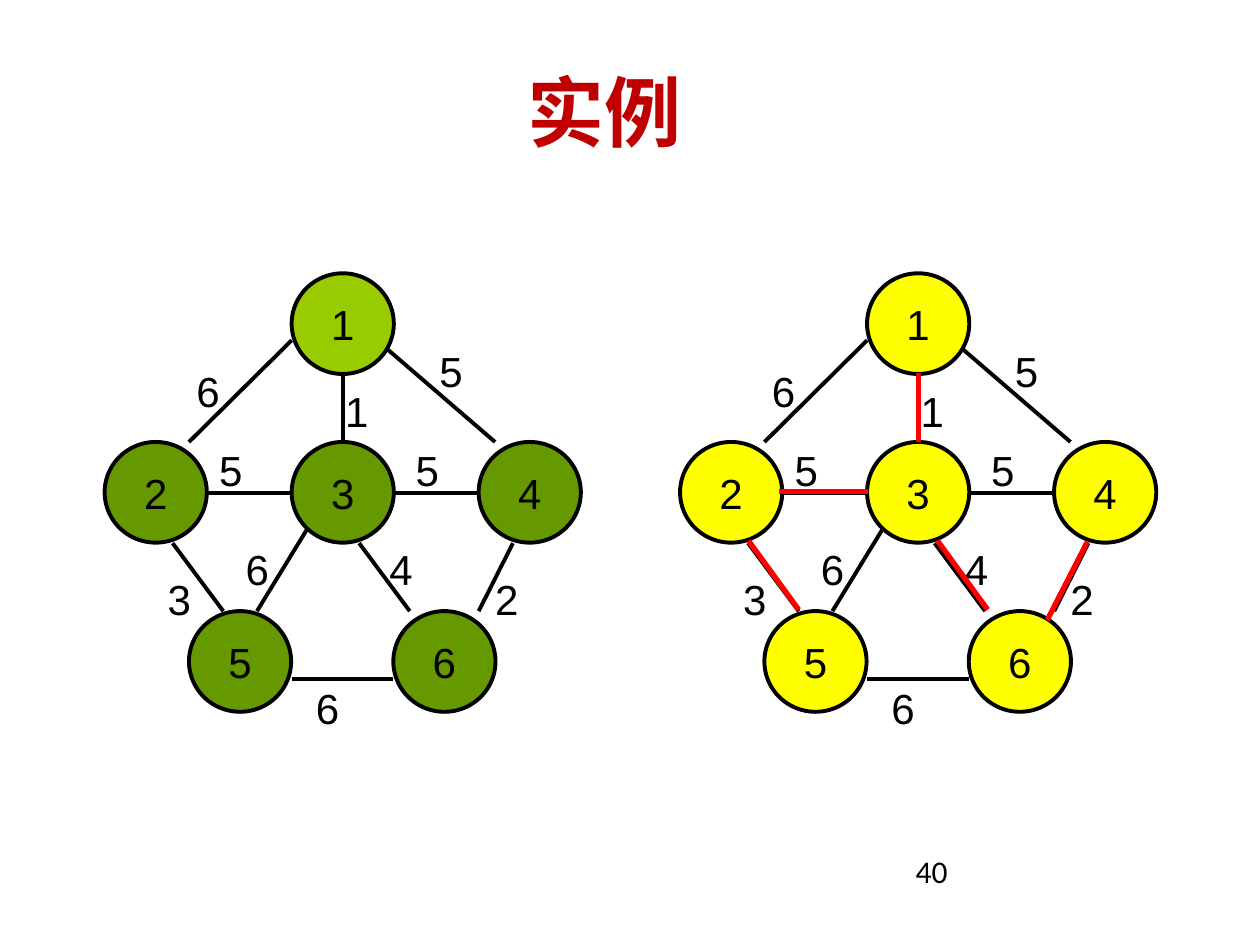
from pptx import Presentation
from pptx.dml.color import RGBColor
from pptx.enum.shapes import MSO_CONNECTOR, MSO_SHAPE
from pptx.enum.text import MSO_ANCHOR, PP_ALIGN
from pptx.oxml.ns import qn
from pptx.util import Cm, Pt

OVAL = MSO_SHAPE.OVAL
STRAIGHT = MSO_CONNECTOR.STRAIGHT
MIDDLE = MSO_ANCHOR.MIDDLE
CENTER = PP_ALIGN.CENTER

COLORS = {
    "title": "C00000", "ink": "000000", "start": "99CC00",
    "node": "669900", "tree_node": "FFFF00", "tree_edge": "FF0000",
}

deck = Presentation()
deck.slide_width, deck.slide_height = Cm(25.4), Cm(19.05)
page = deck.slides.add_slide(deck.slide_layouts[5])


def write(shape, text, size, color="ink", font="Arial", align=None, bold=False):
    frame = shape.text_frame
    frame.vertical_anchor = MIDDLE
    para = frame.paragraphs[0]
    para.alignment = align
    span = para.add_run()
    span.text = text
    span.font.size = Pt(size)
    span.font.name = font
    span.font.bold = bold
    span.font.color.rgb = RGBColor.from_string(COLORS[color])


def draw_edge(x1, y1, x2, y2, color, width):
    edge = page.shapes.add_connector(STRAIGHT, Cm(x1), Cm(y1), Cm(x2), Cm(y2))
    edge.line.color.rgb = RGBColor.from_string(COLORS[color])
    edge.line.width = Pt(width)
    properties = edge._element.spPr
    properties.append(properties.makeelement(qn("a:effectLst"), {}))


# Title and page number
title = page.shapes.title
title.left, title.top, title.width, title.height = Cm(3.48), Cm(1.35), Cm(17.42), Cm(1.75)
write(title, "实例", 44, "title", "Calibri", CENTER, True)

number = page.shapes.add_textbox(Cm(18.21), Cm(17.04), Cm(5.92), Cm(1.02))
number.text_frame.word_wrap = True
write(number, "40", 18, font="Calibri")

# Node and edge places are in cm from the corner of a graph
NODES = {
    "1": (3.77, 0), "2": (0, 3.4), "3": (3.77, 3.4),
    "4": (7.54, 3.4), "5": (1.7, 6.81), "6": (5.82, 6.81),
}
# Start x, y, end x, y, weight, label x, y
EDGES = [
    (3.77, 1.35, 1.7, 3.4, "6", 1.6, 1.73),
    (1.37, 5.44, 2.39, 6.81, "3", 1.02, 5.92),
    (2.06, 4.42, 4.11, 4.42, "5", 2.06, 3.33),
    (4.8, 2.03, 4.8, 3.4, "1", 4.6, 2.13),
    (4.11, 5.11, 3.07, 6.81, "6", 2.59, 5.33),
    (5.82, 4.42, 7.54, 4.42, "5", 6.02, 3.33),
    (5.13, 5.44, 6.15, 6.81, "4", 5.49, 5.33),
    (3.77, 8.18, 5.82, 8.18, "6", 4.01, 8.13),
    (8.23, 5.44, 7.54, 6.81, "2", 7.62, 5.92),
    (5.49, 1.35, 7.87, 3.4, "5", 6.5, 1.32),
]
GRAPH_TOP = 5.51
GRAPHS = [
    (2.11, {"1": "start"}, "node"),
    (13.71, {}, "tree_node"),
]

for left, special, node_color in GRAPHS:
    for x1, y1, x2, y2, *_ in EDGES:
        draw_edge(left + x1, GRAPH_TOP + y1, left + x2, GRAPH_TOP + y2, "ink", 2.25)

    for name, (x, y) in NODES.items():
        node = page.shapes.add_shape(OVAL, Cm(left + x), Cm(GRAPH_TOP + y), Cm(2.06), Cm(2.03))
        node.shadow.inherit = False
        node.fill.solid()
        node.fill.fore_color.rgb = RGBColor.from_string(COLORS[special.get(name, node_color)])
        node.line.color.rgb = RGBColor.from_string(COLORS["ink"])
        node.line.width = Pt(2.25)
        node.text_frame.word_wrap = False
        write(node, name, 24, align=CENTER)

    for *_, weight, x, y in EDGES:
        label = page.shapes.add_textbox(Cm(left + x), Cm(GRAPH_TOP + y), Cm(0.99), Cm(1.27))
        label.text_frame.word_wrap = False
        write(label, weight, 24)

# Minimum spanning tree on the right graph
TREE_EDGES = [
    (18.52, 7.52, 18.52, 8.92),
    (21.92, 10.92, 21.11, 12.5),
    (15.09, 10.9, 16.1, 12.29),
    (18.9, 10.9, 19.91, 12.29),
    (15.7, 9.91, 17.5, 9.91),
]
for ends in TREE_EDGES:
    draw_edge(*ends, "tree_edge", 3)

deck.save("out.pptx")
